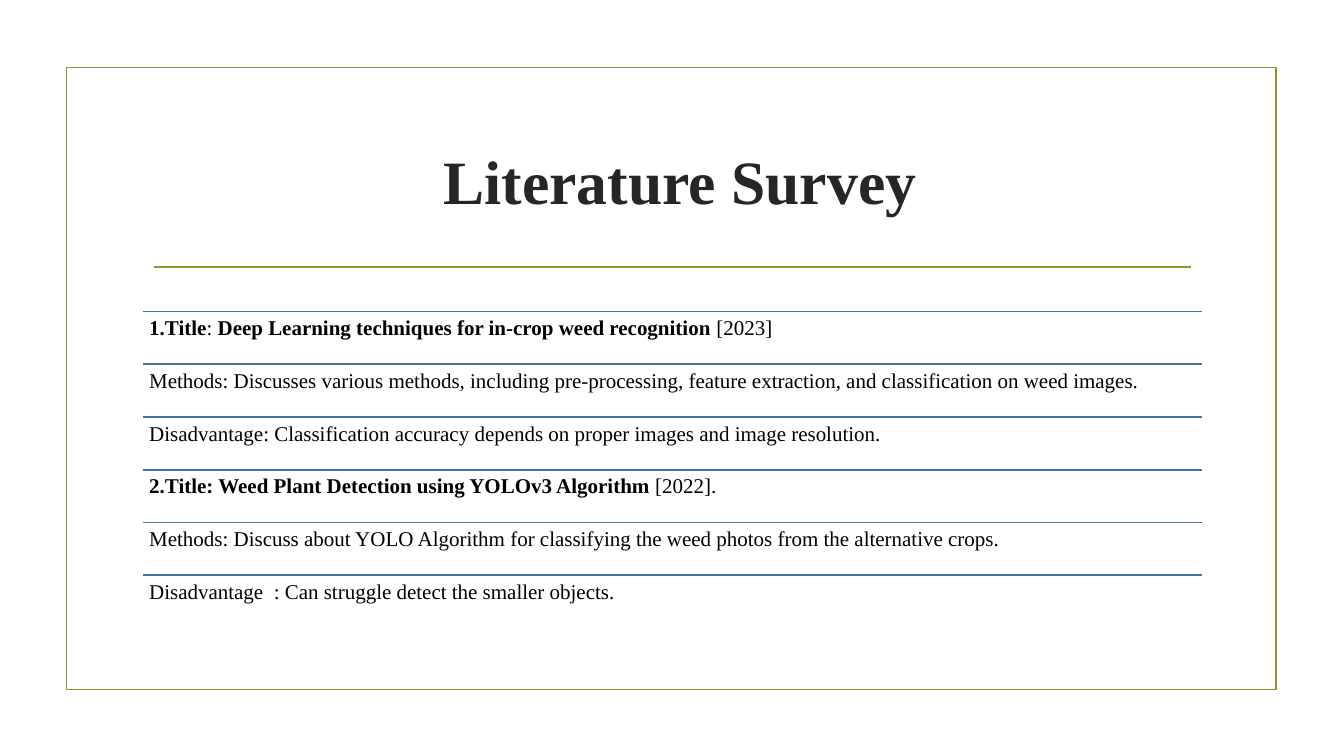
from dataclasses import dataclass

from lxml.etree import SubElement
from pptx import Presentation
from pptx.dml.color import RGBColor
from pptx.enum.shapes import MSO_CONNECTOR, MSO_SHAPE
from pptx.enum.text import MSO_ANCHOR, PP_ALIGN
from pptx.oxml.ns import qn
from pptx.util import Inches, Pt


@dataclass(frozen=True)
class Theme:
    font: str = "Times New Roman"
    frame: RGBColor = RGBColor(0x83, 0x99, 0x2A)
    rule: RGBColor = RGBColor(0x44, 0x70, 0x9D)
    heading: RGBColor = RGBColor(0x26, 0x26, 0x26)
    body: RGBColor = RGBColor(0, 0, 0)
    heading_size: float = 44
    body_size: float = 15
    line_width: float = 1.25


@dataclass(frozen=True)
class Box:
    left: float
    top: float
    width: float
    height: float

    def row(self, index, count):
        height = self.height / count
        return Box(self.left, self.top + index * height, self.width, height)

    def inches(self):
        return [Inches(v) for v in (self.left, self.top, self.width, self.height)]


THEME = Theme()
SLIDE_WIDTH, SLIDE_HEIGHT = 13.33, 7.5
FRAME = Box(0.66, 0.67, 12, 6.17)
HEADING = Box(1.42, 1.07, 10.5, 1.43)
DIVIDER = Box(1.53, 2.65, 10.28, 0)
SURVEY = Box(1.42, 3.09, 10.5, 3.14)

# Each entry is a list of (text, bold) spans
ENTRIES = [
    [("1.Title", True), (": ", False),
     ("Deep Learning techniques for in-crop weed recognition ", True),
     ("[2023]", False)],
    [("Methods: Discusses various methods, including pre-processing, feature "
      "extraction, and classification on weed images.", False)],
    [("Disadvantage: Classification accuracy depends on proper images and "
      "image resolution.", False)],
    [("2.Title: Weed Plant Detection using YOLOv3 Algorithm ", True),
     ("[2022].", False)],
    [("Methods: Discuss about YOLO Algorithm for classifying the weed photos "
      "from the alternative crops.", False)],
    [("Disadvantage  : Can struggle detect the smaller objects.", False)],
]


def add_rule(page, box, color):
    """Draw a line along the top edge of the box."""
    left, top, width, _ = box.inches()
    rule = page.shapes.add_connector(
        MSO_CONNECTOR.STRAIGHT, left, top, left + width, top)
    rule.line.color.rgb = color
    rule.line.width = Pt(THEME.line_width)
    SubElement(rule._element.spPr, qn("a:effectLst"))


def add_text(page, box, spans, size, color, anchor=MSO_ANCHOR.TOP):
    """Write one paragraph of spans and return its text frame."""
    frame = page.shapes.add_textbox(*box.inches()).text_frame
    frame.word_wrap = True
    frame.vertical_anchor = anchor
    para = frame.paragraphs[0]
    para.font.name = THEME.font
    para.font.size = Pt(size)
    para.font.color.rgb = color
    for text, bold in spans:
        span = para.add_run()
        span.text = text
        span.font.bold = bold
    return frame


def add_frame(page, box):
    border = page.shapes.add_shape(MSO_SHAPE.RECTANGLE, *box.inches())
    border.shadow.inherit = False
    border.fill.background()
    border.line.color.rgb = THEME.frame
    border.line.width = Pt(THEME.line_width)


def add_heading(page, box, divider):
    frame = add_text(page, box, [(" Literature Survey", True)],
                     THEME.heading_size, THEME.heading, MSO_ANCHOR.MIDDLE)
    frame.paragraphs[0].alignment = PP_ALIGN.CENTER
    add_rule(page, divider, THEME.frame)


def add_survey(page, box, entries):
    for index, spans in enumerate(entries):
        row = box.row(index, len(entries))
        add_rule(page, row, THEME.rule)
        frame = add_text(page, row, spans, THEME.body_size, THEME.body)
        frame.margin_left = frame.margin_right = Inches(0.06)
        frame.margin_top = frame.margin_bottom = Inches(0.06)
        frame.paragraphs[0].line_spacing = 0.9


def main():
    deck = Presentation()
    deck.slide_width = Inches(SLIDE_WIDTH)
    deck.slide_height = Inches(SLIDE_HEIGHT)
    page = deck.slides.add_slide(deck.slide_layouts[6])
    add_frame(page, FRAME)
    add_heading(page, HEADING, DIVIDER)
    add_survey(page, SURVEY, ENTRIES)
    deck.save("out.pptx")


if __name__ == "__main__":
    main()
